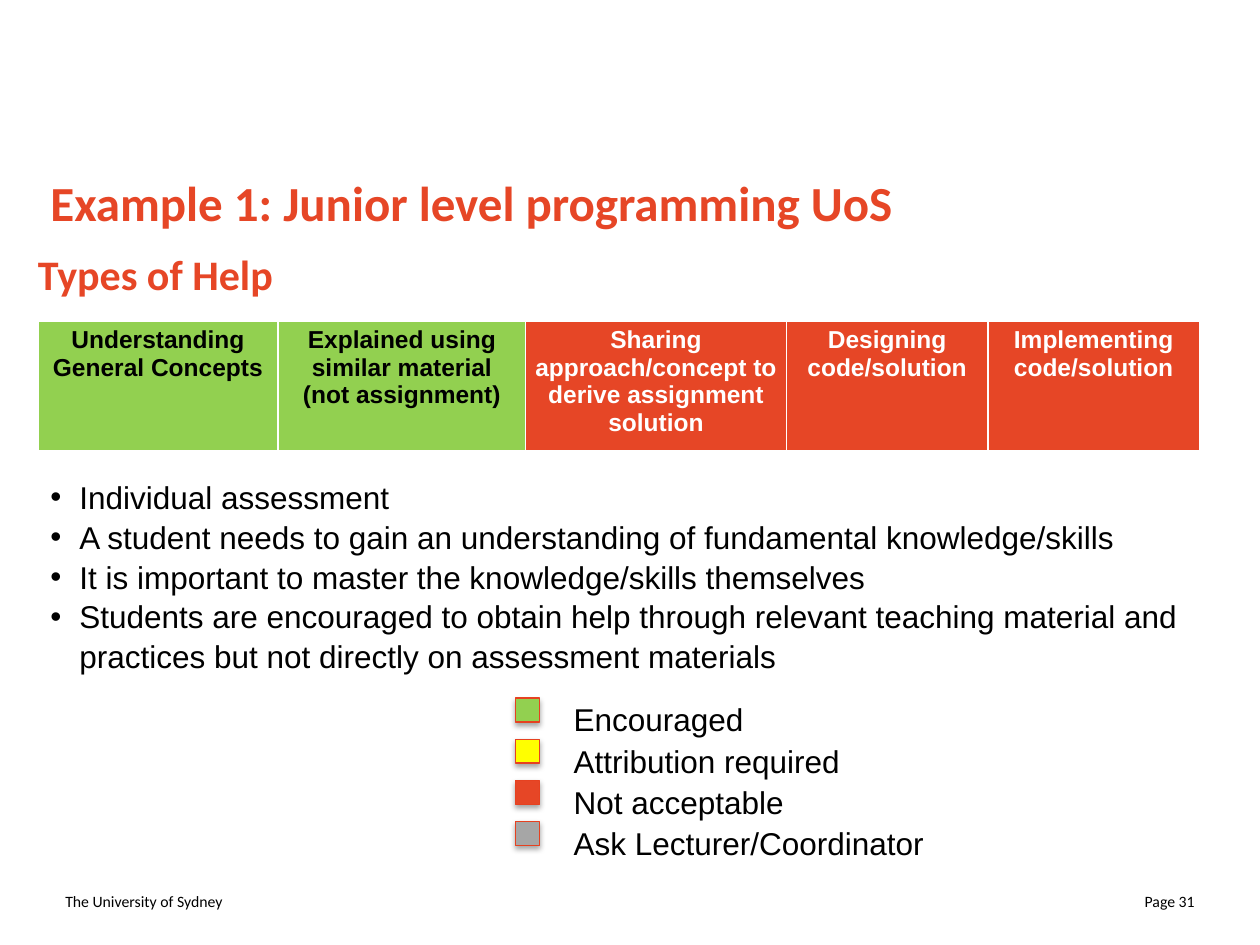
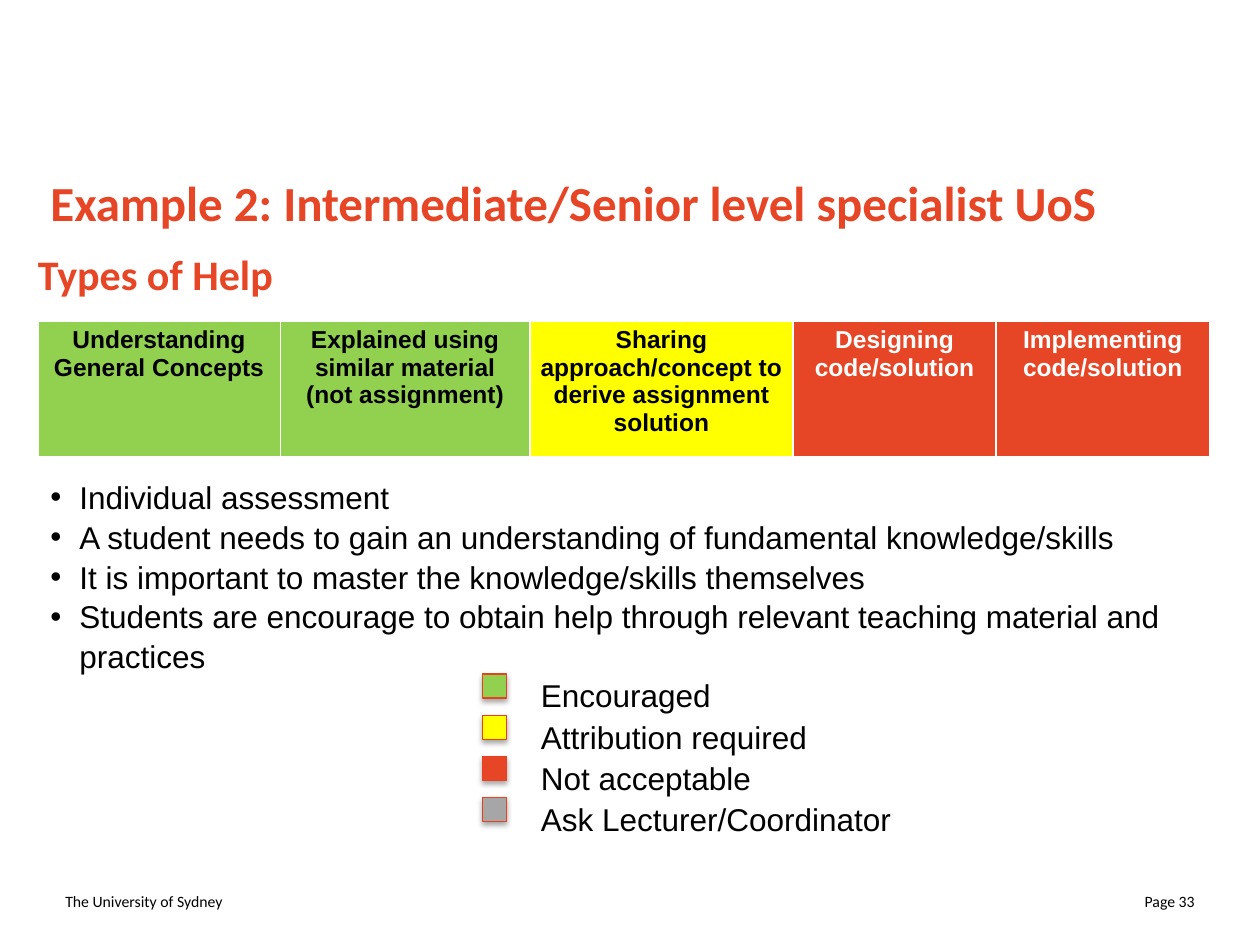
import pptx
import pptx.util
import pptx.dml.color
import pptx.enum.text
import pptx.enum.shapes
import pptx.oxml
import pptx.oxml.ns

UNIT = pptx.util.Inches(0.1)
ALIGN = pptx.enum.text.PP_ALIGN
ANCHOR = pptx.enum.text.MSO_ANCHOR
FIT = pptx.enum.text.MSO_AUTO_SIZE
RECT = pptx.enum.shapes.MSO_SHAPE.RECTANGLE

RED, GREEN, YELLOW, GREY = "E64626", "92D050", "FFFF00", "A6A6A6"
BLACK, WHITE, EDGE = "000000", "FFFFFF", "E64120"

TITLE = dict(name="Calibri", size=28, bold=True, color=RED)
HEAD = dict(TITLE, size=24)
BODY = dict(name="Arial", size=18, bold=False, color=BLACK)
CELL = dict(BODY, size=14, bold=True)
FOOT = dict(BODY, name="Calibri", size=9)

LEFT, WIDE = 3, 92.2
HELP = ["Understanding General Concepts",
        "Explained using similar material (not assignment)",
        "Sharing approach/concept to derive assignment solution",
        "Designing code/solution",
        "Implementing code/solution"]
SHARES = [0.21, 0.21, 0.22, 0.17, 0.18]
SHARES = [0.207, 0.213, 0.2245, 0.1735, 0.182]
KEYS = [("Encouraged", GREEN), ("Attribution required", YELLOW),
        ("Not acceptable", RED), ("Ask Lecturer/Coordinator", GREY)]
POINTS = ["Individual assessment",
          "A student needs to gain an understanding of fundamental knowledge/skills",
          "It is important to master the knowledge/skills themselves"]
PAGES = [
    dict(title="Example 1: Junior level programming UoS", page=31,
         last="Students are encouraged to obtain help through relevant teaching "
              "material and practices but not directly on assessment materials",
         fills=[GREEN, GREEN, RED, RED, RED],
         table=(LEFT, 25.5, WIDE, 10.4), legend=(40.9, 55.4)),
    dict(title="Example 2: Intermediate/Senior level specialist UoS", page=33,
         last="Students are encourage to obtain help through relevant teaching "
              "material and practices",
         fills=[GREEN, GREEN, YELLOW, RED, RED],
         table=(LEFT, 25.5, 93, 10.9), legend=(38.3, 53.5)),
]


def hue(code):
    """Turn a hex string into a colour."""
    return pptx.dml.color.RGBColor.from_string(code)


def span(*cells):
    """Turn grid units into lengths."""
    return [int(cell * UNIT) for cell in cells]


def put(item, values):
    """Set each named attribute of an item."""
    for name, value in values.items():
        setattr(item, name, value)


def node(text):
    """Parse a drawing element."""
    head, tail = text.split(">", 1)
    slash = "/" if head.endswith("/") else ""
    head = head.rstrip("/")
    return pptx.oxml.parse_xml(f"{head} {pptx.oxml.ns.nsdecls('a')}{slash}>{tail}")


def write(frame, lines, look, align=ALIGN.LEFT, space=1.0, bullet=False):
    """Fill a text frame with styled paragraphs."""
    frame.word_wrap = True
    for turn, line in enumerate(lines):
        para = frame.paragraphs[0] if turn == 0 else frame.add_paragraph()
        if bullet:
            props = para._p.get_or_add_pPr()
            indent = pptx.util.Inches(0.23)
            props.set("marL", str(indent))
            props.set("indent", str(-indent))
            props.append(node('<a:buChar char="•"/>'))
        put(para, dict(alignment=align, line_spacing=space,
                       space_before=pptx.util.Pt(0)))
        run = para.add_run()
        run.text = line
        put(run.font, dict(name=look["name"], bold=look["bold"],
                           size=pptx.util.Pt(look["size"])))
        run.font.color.rgb = hue(look["color"])


def label(shapes, box, text, look, **style):
    """Add a text box and return its frame."""
    frame = shapes.add_textbox(*span(*box)).text_frame
    write(frame, [text], look, **style)
    return frame


def fill(holder, box, lines, look, fit, anchor, **style):
    """Place and fill a template placeholder."""
    put(holder, dict(zip(("left", "top", "width", "height"), span(*box))))
    write(holder.text_frame, lines, look, **style)
    put(holder.text_frame, dict(auto_size=fit, vertical_anchor=anchor))


def edge(cell):
    """Draw white borders round a cell."""
    props = cell._tc.get_or_add_tcPr()
    for turn, (side, width) in enumerate(
            [("lnL", 1), ("lnR", 1), ("lnT", 1), ("lnB", 3)]):
        props.insert(turn, node(
            f'<a:{side} w="{pptx.util.Pt(width)}"><a:solidFill>'
            f'<a:srgbClr val="{WHITE}"/></a:solidFill></a:{side}>'))


def scale(slide, box, fills):
    """Draw the row of help types."""
    table = slide.shapes.add_table(1, len(HELP), *span(*box)).table
    for turn, (text, tint) in enumerate(zip(HELP, fills)):
        table.columns[turn].width = int(box[2] * SHARES[turn] * UNIT)
        cell = table.cell(0, turn)
        side, rim = pptx.util.Inches(0.07), pptx.util.Inches(0.04)
        put(cell, dict(margin_left=side, margin_right=side,
                       margin_top=rim, margin_bottom=rim))
        cell.fill.solid()
        cell.fill.fore_color.rgb = hue(tint)
        ink = WHITE if tint == RED else BLACK
        write(cell.text_frame, [text], dict(CELL, color=ink), ALIGN.CENTER)
        edge(cell)


def legend(slide, left, top):
    """Draw the colour key as a group."""
    shapes = slide.shapes.add_group_shape().shapes
    for turn, (text, tint) in enumerate(KEYS):
        row = top + 3.27 * turn
        mark = shapes.add_shape(RECT, *span(left, row, 1.9, 1.9))
        mark.fill.solid()
        mark.fill.fore_color.rgb = hue(tint)
        mark.line.color.rgb = hue(EDGE)
        mark.line.width = pptx.util.Pt(0.75)
        mark._element.spPr.append(node(
            f'<a:effectLst><a:outerShdw blurRad="{pptx.util.Pt(3.1)}" '
            f'dist="{pptx.util.Pt(1.8)}" dir="5400000" rotWithShape="0">'
            f'<a:srgbClr val="{BLACK}"><a:alpha val="35000"/></a:srgbClr>'
            '</a:outerShdw></a:effectLst>'))
        wide = 17 if turn == 0 else 45.9
        frame = label(shapes, (left + 3.65, row - 0.45, wide, 4), text, BODY,
                      space=1.05)
        frame.auto_size = FIT.SHAPE_TO_FIT_TEXT


def footer(slide, page):
    """Write the owner and page number."""
    for left, text, align in [(4.2, "The University of Sydney", ALIGN.LEFT),
                              (72.5, f"Page {page}", ALIGN.RIGHT)]:
        frame = label(slide.shapes, (left, 69.5, 23.3, 4), text, FOOT, align=align)
        frame.vertical_anchor = ANCHOR.MIDDLE


def build(deck, page):
    """Add one example slide."""
    slide = deck.slides.add_slide(deck.slide_layouts[1])
    footer(slide, page["page"])
    scale(slide, page["table"], page["fills"])
    fill(slide.shapes.title, (LEFT, 13.4, WIDE, 5.3), [page["title"]], TITLE,
         FIT.NONE, ANCHOR.MIDDLE)
    frame = label(slide.shapes, (LEFT, 19.5, WIDE, 5.3), "Types of Help", HEAD,
                  space=1.05)
    put(frame, dict(margin_left=0, margin_top=0, margin_right=0, margin_bottom=0))
    fill(slide.placeholders[1], (LEFT, 37.3, 93.9, 16.2), POINTS + [page["last"]],
         BODY, FIT.SHAPE_TO_FIT_TEXT, ANCHOR.TOP, space=1.05, bullet=True)
    legend(slide, *page["legend"])


def main():
    """Build and save the deck."""
    deck = pptx.Presentation()
    put(deck, dict(zip(("slide_width", "slide_height"), span(100, 75))))
    for page in PAGES:
        build(deck, page)
    deck.save("out.pptx")


if __name__ == "__main__":
    main()
